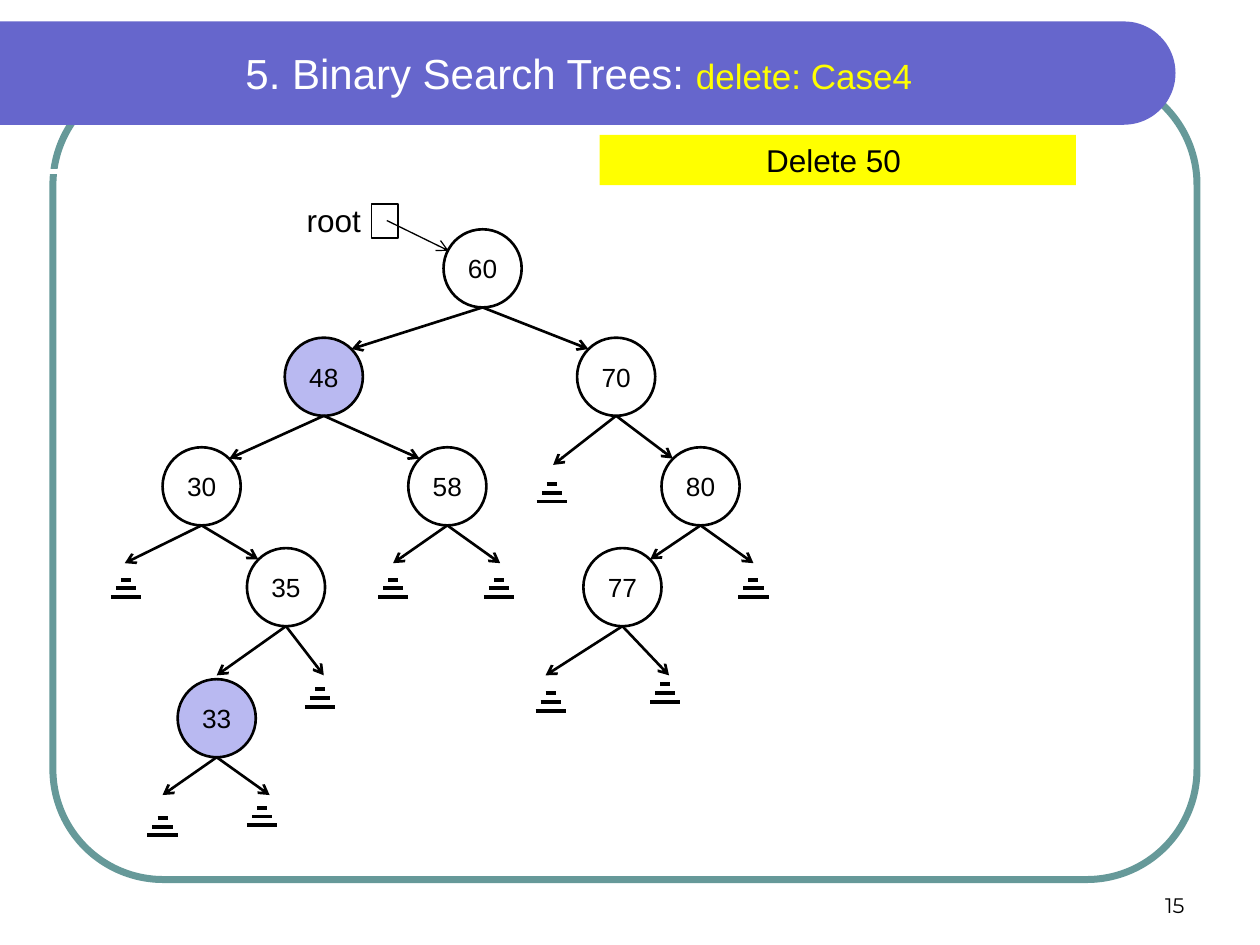
from math import cos, pi, sin

from lxml.etree import SubElement
from pptx import Presentation
from pptx.dml.color import RGBColor
from pptx.enum.shapes import MSO_CONNECTOR, MSO_SHAPE as Kind
from pptx.enum.text import MSO_ANCHOR as Anchor, PP_ALIGN as Align
from pptx.oxml.ns import qn
from pptx.util import Pt

PX = 9144  # 100 px to the inch
WHITE = RGBColor(255, 255, 255)
BLACK = RGBColor(0, 0, 0)
YELLOW = RGBColor(255, 255, 0)
TEAL = RGBColor(0x66, 0x99, 0x99)
INDIGO = RGBColor(0x66, 0x66, 0xCC)
LILAC = RGBColor(0xB9, 0xB9, 0xF1)

SIZE = 62  # node diameter
NODES = {  # key: left, top in the tree box
    60: (272, 32), 48: (146, 118), 70: (378, 118),
    30: (49, 205), 58: (244, 205), 80: (445, 205),
    35: (116, 285), 77: (383, 285), 33: (61, 389),
}
MARKED = {48, 33}
EDGES = [(60, 48), (60, 70), (48, 30), (48, 58), (30, 35),
         (70, 80), (80, 77), (35, 33)]
NILS = [  # parent, arrow tip, top centre of the ground sign
    (30, (19, 297), (20, 310)),
    (58, (232, 297), (232, 310)), (58, (317, 297), (316, 310)),
    (70, (359, 219), (358, 234)), (80, (518, 297), (518, 310)),
    (35, (177, 386), (174, 397)),
    (77, (353, 386), (357, 400)), (77, (451, 386), (448, 393)),
    (33, (49, 481), (49, 499)), (33, (134, 481), (128, 491)),
]


def px(*nums):
    return [round(n * PX) for n in nums]


def paint(shape, fill=None, line=None, width=1.5):
    shape.shadow.inherit = False
    if fill is None:
        shape.fill.background()
    else:
        shape.fill.solid()
        shape.fill.fore_color.rgb = fill
    if line is None:
        shape.line.fill.background()
    else:
        shape.line.color.rgb = line
        shape.line.width = Pt(width)


def add_shape(shapes, kind, box, fill=None, line=None, width=1.5):
    shape = shapes.add_shape(kind, *px(*box))
    paint(shape, fill, line, width)
    return shape


def add_line(shapes, start, end, color=BLACK, width=1.5, arrow=False):
    line = shapes.add_connector(MSO_CONNECTOR.STRAIGHT, *px(*start, *end))
    line.line.color.rgb = color
    line.line.width = Pt(width)
    if arrow:
        SubElement(line.line._get_or_add_ln(), qn("a:tailEnd"), type="arrow")
    SubElement(line._element.spPr, qn("a:effectLst"))


def write(shape, runs, size, align=Align.CENTER, anchor=Anchor.MIDDLE,
          font="Arial"):
    """Fill one paragraph with (text, colour, size) runs or one black string."""
    frame = shape.text_frame
    frame.word_wrap = True
    frame.vertical_anchor = anchor
    para = frame.paragraphs[0]
    para.alignment = align
    para.font.name = font
    para.font.size = Pt(size)
    if isinstance(runs, str):
        para.font.color.rgb = BLACK
        para.add_run().text = runs
        return
    for text, color, points in runs:
        run = para.add_run()
        run.text = text
        run.font.color.rgb = color
        run.font.size = Pt(points)


def add_text(shapes, box, *args, **style):
    write(shapes.add_textbox(*px(*box)), *args, **style)


def add_frame(shapes, box):
    frame = add_shape(shapes, Kind.ROUNDED_RECTANGLE, box, line=TEAL, width=4)
    frame.adjustments[0] = 0.137


def add_banner(shapes, box):
    """Title band with a half-round right end and a white rule below."""
    x, y, w, h = box
    r = h / 2
    turns = [pi * (i / 40 - 0.5) for i in range(41)]
    arc = [(x + w - r + r * cos(t), y + r + r * sin(t)) for t in turns]
    path = shapes.build_freeform(*px(x, y))
    path.add_line_segments([px(*p) for p in arc + [(x, y + h)]])
    paint(path.convert_to_shape(), INDIGO)
    add_line(shapes, (x, y + 119), (x + w - 50, y + 119), WHITE, 3)
    add_text(shapes, (x + 21, y + 8, 877, 66),
             [("5. Binary Search Trees: ", WHITE, 24),
              ("delete: Case4", YELLOW, 20)], 24)


def add_note(shapes, box):
    note = add_shape(shapes, Kind.RECTANGLE, box, YELLOW)
    write(note, "Delete 50 ", 18, anchor=Anchor.TOP)


def add_ground(shapes, x, y):
    bars = shapes.add_group_shape().shapes
    for row, half in enumerate((4, 8, 12)):
        level = y + 7 * row
        add_line(bars, (x - half, level), (x + half, level), width=2.25)


def add_tree(shapes, left, top):
    def at(x, y):
        return left + x, top + y

    def foot(key):
        x, y = NODES[key]
        return at(x + SIZE / 2, y + SIZE)

    def tip(key, child):
        """Upper corner of the child that faces its parent."""
        x, y = NODES[child]
        if child == 33:
            return at(x + SIZE / 2, y - 3)
        return at(x + (53 if x < NODES[key][0] else 9), y + 9)

    add_shape(shapes, Kind.RECTANGLE, (*at(215, 12), 21, 27),
              line=BLACK, width=0.75)
    add_text(shapes, (*at(150, 5), 70, 40), "root", 18, anchor=Anchor.TOP)

    for key, spot in NODES.items():
        node = add_shape(shapes, Kind.OVAL, (*at(*spot), SIZE, SIZE),
                         LILAC if key in MARKED else None, BLACK)
        write(node, str(key), 15)
    for key, child in EDGES:
        add_line(shapes, foot(key), tip(key, child), arrow=True)
    for key, end, ground in NILS:
        add_line(shapes, foot(key), at(*end), arrow=True)
        add_ground(shapes, *at(*ground))
    add_line(shapes, at(227, 25), at(276, 49), width=0.75, arrow=True)


def main():
    deck = Presentation()
    deck.slide_width, deck.slide_height = px(1000, 750)
    shapes = deck.slides.add_slide(deck.slide_layouts[6]).shapes
    add_frame(shapes, (42, 59, 908, 639))
    add_banner(shapes, (0, 17, 933, 82))
    add_text(shapes, (717, 683, 233, 50), "15", 12, Align.RIGHT,
             Anchor.BOTTOM, font="Montserrat")
    add_note(shapes, (476, 107, 378, 40))
    add_tree(shapes, 80, 150)
    deck.save("out.pptx")


if __name__ == "__main__":
    main()
